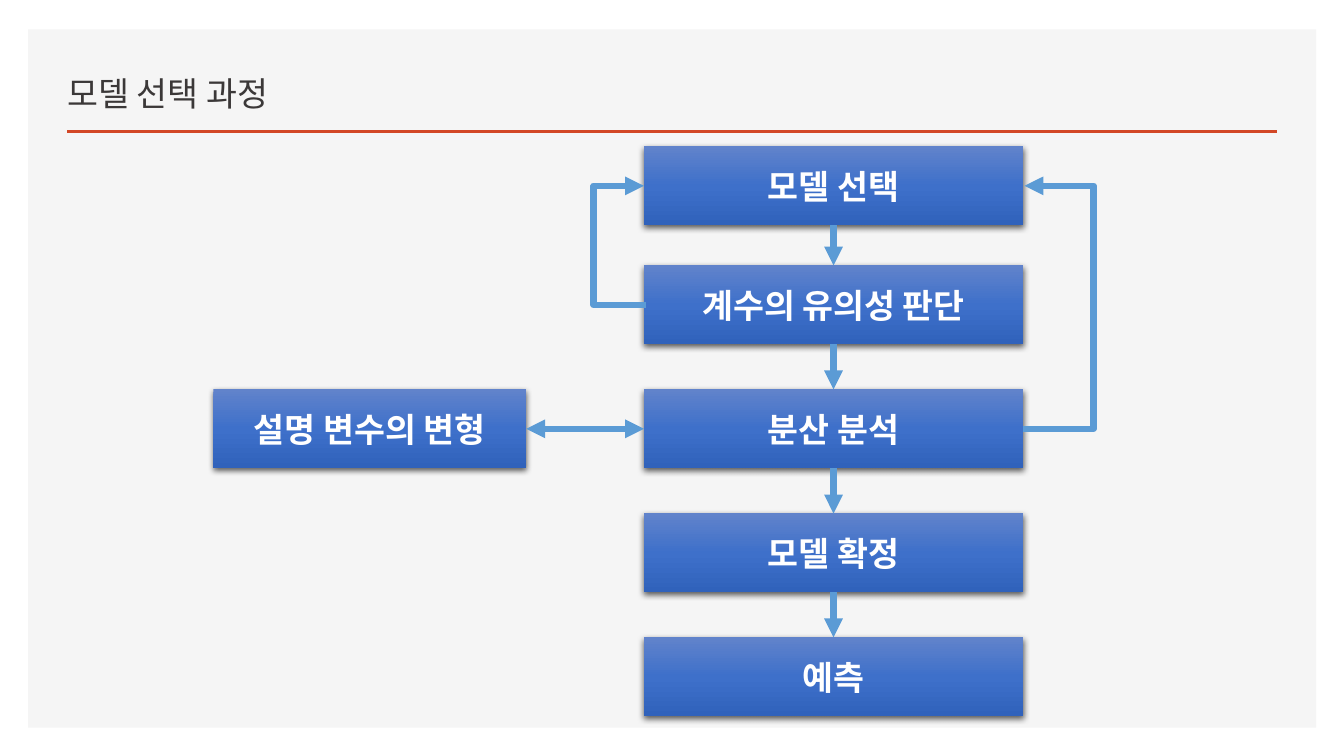
from itertools import pairwise

from lxml.etree import SubElement
from pptx import Presentation
from pptx.dml.color import RGBColor
from pptx.enum.shapes import MSO_CONNECTOR as Link, MSO_SHAPE as Preset
from pptx.enum.text import MSO_ANCHOR as Anchor, PP_ALIGN as Align
from pptx.oxml.ns import qn
from pptx.util import Cm, Pt

COLORS = {
    "panel": "F5F5F5", "rule": "D24726", "title": "3B3838", "arrow": "5B9BD5",
    "label": "FFFFFF", "shadow": "000000",
    "box_top": "6183CB", "box_middle": "3E70CA", "box_bottom": "3062BB",
}
TOP, LEFT, BOTTOM, RIGHT = range(4)


def add_node(parent, tag, **attributes):
    return SubElement(parent, qn(tag), {k: str(v) for k, v in attributes.items()})


class FlowSlide:
    title_font = "Lato"
    box_font = "Noto Sans CJK KR"
    text_size = Pt(24)
    box_height = 1.99

    def __init__(self, deck):
        self.slide = deck.slides.add_slide(deck.slide_layouts[5])
        self.shapes = self.slide.shapes

    def color(self, name):
        return RGBColor.from_string(COLORS[name])

    def style_text(self, paragraph, font_name, color, bold, align):
        paragraph.alignment = align
        font = paragraph.font
        font.name, font.size, font.bold = font_name, self.text_size, bold
        font.color.rgb = self.color(color)

    def rectangle(self, left, top, width, height):
        shape = self.shapes.add_shape(
            Preset.RECTANGLE, Cm(left), Cm(top), Cm(width), Cm(height))
        shape.shadow.inherit = False
        shape.line.fill.background()
        return shape

    def panel(self, left, top, width, height):
        shape = self.rectangle(left, top, width, height)
        shape.fill.solid()
        shape.fill.fore_color.rgb = self.color("panel")

    def title(self, text, left, top, width, height):
        title = self.shapes.title
        title.left, title.top, title.width, title.height = map(
            Cm, (left, top, width, height))
        # Bring the title in front of the panel
        self.shapes.element.append(title.element)
        frame = title.text_frame
        frame.text = text
        frame.vertical_anchor = Anchor.BOTTOM
        paragraph = frame.paragraphs[0]
        paragraph.line_spacing = 0.9
        self.style_text(paragraph, self.title_font, "title", False, Align.LEFT)

    def box(self, text, left, top, width):
        """Draw a step with a three-stop gradient and a soft shadow below it."""
        box = self.rectangle(left, top, width, self.box_height)
        box.fill.gradient()
        box.fill.gradient_angle = 270
        properties = box.element.spPr
        stops = properties.find(".//" + qn("a:gsLst"))
        stops.clear()
        for position, name in enumerate(("box_top", "box_middle", "box_bottom")):
            stop = add_node(stops, "a:gs", pos=position * 50000)
            add_node(stop, "a:srgbClr", val=COLORS[name])
        shadow = add_node(
            properties.find(qn("a:effectLst")), "a:outerShdw", blurRad=Pt(4.5),
            dist=Pt(1.5), dir=5400000, algn="ctr", rotWithShape=0)
        shade = add_node(shadow, "a:srgbClr", val=COLORS["shadow"])
        add_node(shade, "a:alpha", val=63000)

        frame = box.text_frame
        frame.text = text
        frame.vertical_anchor = Anchor.MIDDLE
        paragraph = frame.paragraphs[0]
        self.style_text(paragraph, self.box_font, "label", True, Align.CENTER)
        latin = paragraph.font._element.find(qn("a:latin"))
        add_node(latin.getparent(), "a:ea", typeface=self.box_font)
        return box

    def line(self, kind, start, end, color, width, heads=()):
        line = self.shapes.add_connector(kind, *map(Cm, (*start, *end)))
        line.line.color.rgb = self.color(color)
        line.line.width = Pt(width)
        stroke = line.line._get_or_add_ln()
        for head in heads:
            add_node(stroke, head, type="triangle")
        add_node(line._element.spPr, "a:effectLst")
        return line

    def arrow(self, source, source_side, target, target_side, both_ways=False):
        heads = ("a:headEnd", "a:tailEnd") if both_ways else ("a:tailEnd",)
        arrow = self.line(Link.STRAIGHT, (0, 0), (1, 1), "arrow", 4.5, heads)
        arrow.begin_connect(source, source_side)
        arrow.end_connect(target, target_side)

    def loop_arrow(self, start, end, turn_x):
        """Draw an elbow that runs out to turn_x and comes back."""
        arrow = self.line(Link.ELBOW, start, end, "arrow", 4.5, ("a:tailEnd",))
        ratio = (turn_x - start[0]) / (end[0] - start[0])
        guides = arrow._element.spPr.find(".//" + qn("a:avLst"))
        add_node(guides, "a:gd", name="adj1", fmla=f"val {round(ratio * 100000)}")


def main():
    deck = Presentation()
    deck.slide_width, deck.slide_height = Cm(33.87), Cm(19.05)
    flow = FlowSlide(deck)
    flow.panel(0.71, 0.74, 32.46, 17.6)
    flow.line(Link.STRAIGHT, (1.69, 3.32), (32.18, 3.32), "rule", 2)
    flow.title("모델 선택 과정", 1.45, 1.22, 22.68, 1.78)

    step_left, step_width = 16.23, 9.55
    step_tops = {
        "모델 선택": 3.69,
        "계수의 유의성 판단": 6.69,
        "분산 분석": 9.81,
        "모델 확정": 12.94,
        "예측": 16.06,
    }
    steps = [flow.box(text, step_left, top, step_width)
             for text, top in step_tops.items()]
    selection_y, significance_y, variance_y = (
        top + flow.box_height / 2 for top in list(step_tops.values())[:3])
    variance = steps[2]
    transformation = flow.box("설명 변수의 변형", 5.38, step_tops["분산 분석"], 7.88)

    for step, next_step in pairwise(steps):
        flow.arrow(step, BOTTOM, next_step, TOP)
    flow.arrow(variance, LEFT, transformation, RIGHT, both_ways=True)

    step_right = step_left + step_width
    flow.loop_arrow((step_left + 0.04, significance_y), (step_left, selection_y), 14.96)
    flow.loop_arrow((step_right, variance_y), (step_right + 0.04, selection_y), 27.56)
    deck.save("out.pptx")


if __name__ == "__main__":
    main()
